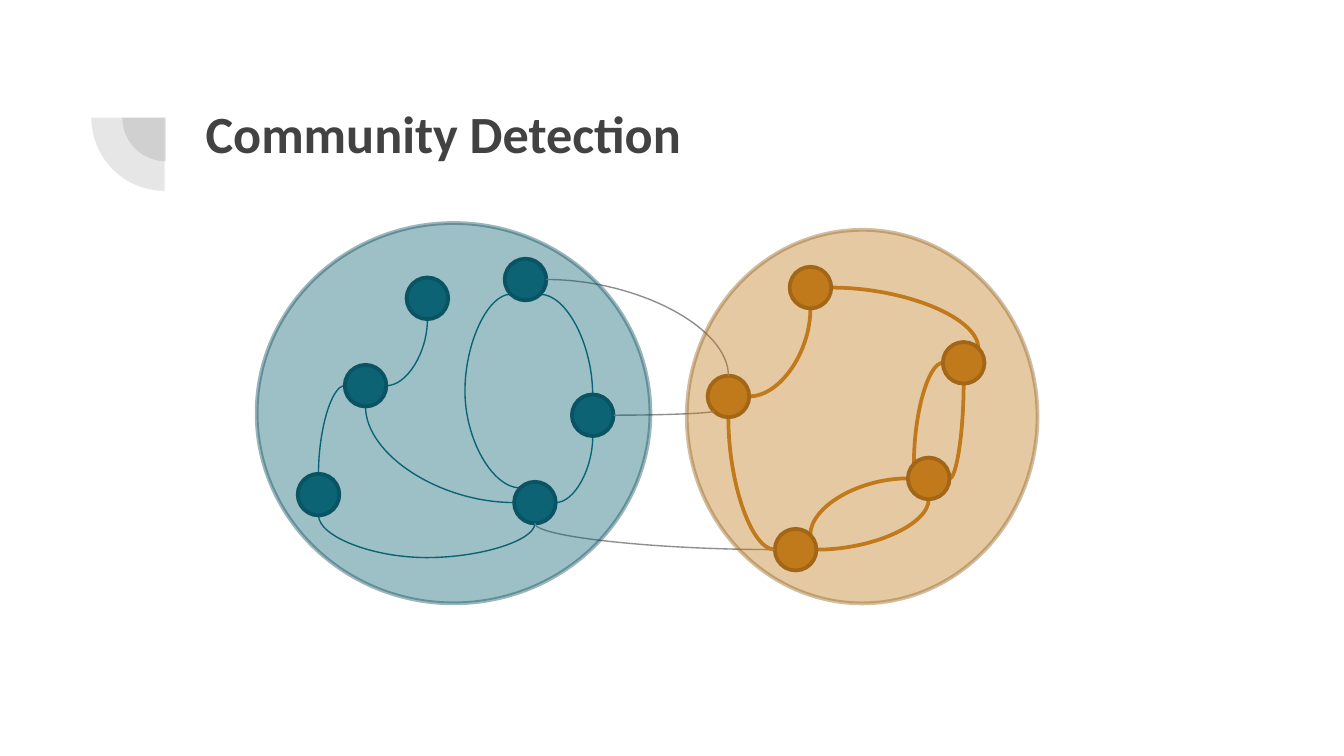
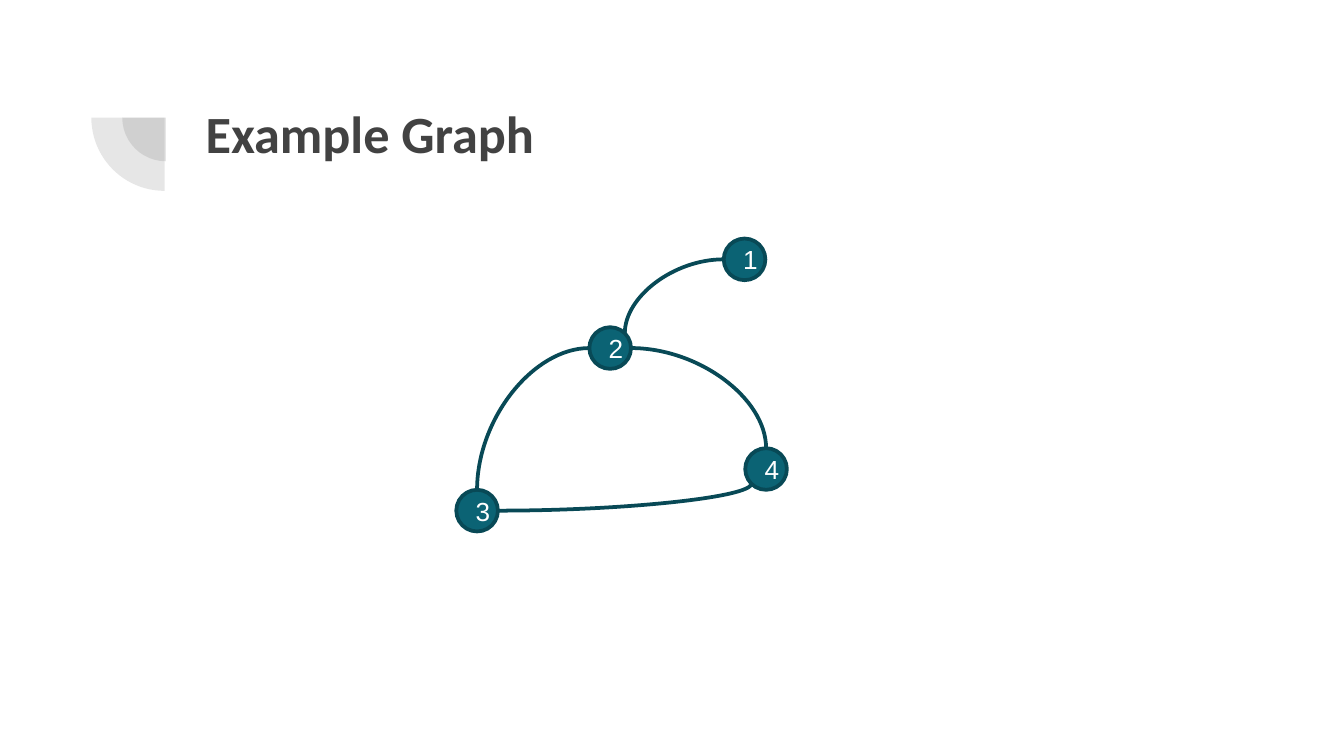
from math import cos, radians, sin

from lxml import etree
from pptx import Presentation
from pptx import util as u
from pptx.dml.color import RGBColor
from pptx.enum import shapes, text
from pptx.oxml.ns import qn

WIDTH = 10
HEIGHT = WIDTH * 9 / 16
INK, GREY = "424242", "8E8E8E"
TEAL, TEAL_LINE, TEAL_RIM = "0B6374", "086374", "084956"
ORANGE, ORANGE_RIM = "C0791B", "8E5A14"
NODE = 0.31
THIN, THICK = 0.75, 2
# Connection sites of an ellipse, counter-clockwise from the top.
SITES = ["top", "top left", "left", "bottom left",
         "bottom", "bottom right", "right", "top right"]

# Node centres.
TEAL_NODES = {"A": (3.18, 2.22), "B": (3.91, 2.08), "C": (2.72, 2.87),
              "D": (4.41, 3.09), "E": (3.98, 3.74), "F": (2.37, 3.68)}
ORANGE_NODES = {"G": (5.42, 2.95), "H": (5.92, 4.09), "I": (6.03, 2.14),
                "J": (6.91, 3.56), "K": (7.17, 2.7)}
EXAMPLE_NODES = {"2": (4.54, 2.59), "3": (3.55, 3.8),
                 "4": (5.7, 3.49), "1": (5.54, 1.93)}

# Each edge leaves its first node horizontally and meets its second vertically.
TEAL_EDGES = [("C", "right", "A", "bottom"), ("C", "left", "F", "top"),
              ("B", "bottom right", "D", "top"), ("E", "left", "C", "bottom"),
              ("E", "right", "D", "bottom")]
ORANGE_EDGES = [("H", "left", "G", "bottom"), ("G", "right", "I", "bottom"),
                ("J", "left", "H", "top right"), ("H", "right", "J", "bottom"),
                ("K", "left", "J", "top left"), ("J", "right", "K", "bottom"),
                ("I", "right", "K", "top right")]
BRIDGES = [("B", "right", "G", "top"), ("D", "right", "G", "bottom left"),
           ("H", "left", "E", "bottom")]
EXAMPLE_EDGES = [("2", "left", "3", "top"), ("1", "left", "2", "top right"),
                 ("2", "right", "4", "top"), ("3", "right", "4", "bottom left")]


def rgb(color):
    return RGBColor.from_string(color)


def add_shape(slide, kind, box, fill, rim=None, opacity=100):
    sp = slide.shapes.add_shape(kind, *map(u.Inches, box))
    sp.shadow.inherit = False
    sp.fill.solid()
    sp.fill.fore_color.rgb = rgb(fill)
    if rim:
        sp.line.color.rgb = rgb(rim)
        sp.line.width = u.Pt(THICK)
    else:
        sp.line.fill.background()
    if opacity < 100:
        for color in sp._element.spPr.iter(qn("a:srgbClr")):
            etree.SubElement(color, qn("a:alpha"), val=str(opacity * 1000))
    return sp


def add_title_slide(prs, title):
    slide = prs.slides.add_slide(prs.slide_layouts[5])
    for left, top, size in [(0.91, 0.55, 0.65), (0.68, 0.33, 1.09)]:
        pie = add_shape(slide, shapes.MSO_SHAPE.PIE, (left, top, size, size),
                        INK, opacity=13)
        pie.adjustments[0], pie.adjustments[1] = 108, 162
        pie.rotation = 270
    sp = slide.shapes.title
    sp.left, sp.top, sp.width, sp.height = map(u.Inches, (1.43, 0.65, 7.69, 1.09))
    tf = sp.text_frame
    tf.text = title
    tf.word_wrap = True
    tf.auto_size = text.MSO_AUTO_SIZE.NONE
    tf.vertical_anchor = text.MSO_ANCHOR.TOP
    tf.margin_left = tf.margin_right = tf.margin_top = tf.margin_bottom = u.Inches(0.1)
    p = tf.paragraphs[0]
    p.alignment = text.PP_ALIGN.LEFT
    p.font.name, p.font.size, p.font.bold = "Calibri", u.Pt(28), True
    p.font.color.rgb = rgb(INK)
    return slide


def add_nodes(slide, centres, fill, rim, labelled=False):
    nodes = {}
    for name, (x, y) in centres.items():
        box = (x - NODE / 2, y - NODE / 2, NODE, NODE)
        sp = nodes[name] = add_shape(slide, shapes.MSO_SHAPE.OVAL, box, fill, rim)
        if labelled:
            tf = sp.text_frame
            tf.text = name
            tf.vertical_anchor = text.MSO_ANCHOR.MIDDLE
            p = tf.paragraphs[0]
            p.alignment = text.PP_ALIGN.CENTER
            p.font.name, p.font.size = "Arial", u.Pt(14)
            p.font.color.rgb = rgb("FFFFFF")
    return nodes


def raise_nodes(slide, nodes):
    """Bring the nodes in front of their edges."""
    for sp in nodes.values():
        slide.shapes._spTree.append(sp._element)


def site_point(sp, site):
    angle = radians(90 + 45 * SITES.index(site))
    radius = sp.width / 2
    return (sp.left + radius * (1 + cos(angle)),
            sp.top + radius * (1 - sin(angle)))


def add_edge(slide, nodes, edge, color, width, bulge=None, upright=False):
    """Join two nodes by a quarter curve, or by a loop out to the position bulge."""
    first, first_site, second, second_site = edge
    a, b = nodes[first], nodes[second]
    (x1, y1), (x2, y2) = site_point(a, first_site), site_point(b, second_site)
    start, span = (y1, y2 - y1) if upright else (x1, x2 - x1)
    if upright:  # the box before its quarter turn
        cx, cy, w, h = (x1 + x2) / 2, (y1 + y2) / 2, y2 - y1, x2 - x1
        x1, y1, x2, y2 = cx - w / 2, cy + h / 2, cx + w / 2, cy - h / 2
    cxn = slide.shapes.add_connector(shapes.MSO_CONNECTOR.CURVE,
                                     *map(round, (x1, y1, x2, y2)))
    if upright:
        cxn.rotation = 90
    cxn.line.color.rgb = rgb(color)
    cxn.line.width = u.Pt(width)
    props = cxn._element.spPr
    etree.SubElement(props, qn("a:effectLst"))
    geometry = props.find(qn("a:prstGeom"))
    if bulge is None:
        geometry.set("prst", "curvedConnector2")
    else:
        share = round((u.Inches(bulge) - start) / span * 100000)
        guides = geometry.find(qn("a:avLst"))
        etree.SubElement(guides, qn("a:gd"), name="adj1", fmla=f"val {share}")
    ends = cxn._element.nvCxnSpPr.cNvCxnSpPr
    for tag, sp, site in [("a:stCxn", a, first_site), ("a:endCxn", b, second_site)]:
        etree.SubElement(ends, qn(tag), id=str(sp.shape_id),
                         idx=str(SITES.index(site)))


def add_edges(slide, nodes, edges, color, width):
    for edge in edges:
        add_edge(slide, nodes, edge, color, width)


def community_slide(prs):
    slide = add_title_slide(prs, "Community Detection")
    teal = add_nodes(slide, TEAL_NODES, TEAL, TEAL_RIM)
    add_edges(slide, teal, TEAL_EDGES, TEAL_LINE, THIN)
    add_edge(slide, teal, ("B", "bottom left", "E", "top left"),
             TEAL_LINE, THIN, bulge=3.46)
    add_edge(slide, teal, ("F", "bottom", "E", "bottom"),
             TEAL_LINE, THIN, bulge=4.15, upright=True)
    raise_nodes(slide, teal)

    orange = add_nodes(slide, ORANGE_NODES, ORANGE, ORANGE_RIM)
    add_edges(slide, orange, ORANGE_EDGES, ORANGE, THICK)
    raise_nodes(slide, orange)

    add_edges(slide, teal | orange, BRIDGES, GREY, THIN)
    for box, fill, rim in [((1.91, 1.66, 2.93, 2.83), TEAL, TEAL_RIM),
                           ((5.11, 1.71, 2.61, 2.78), ORANGE, ORANGE_RIM)]:
        add_shape(slide, shapes.MSO_SHAPE.OVAL, box, fill, rim, opacity=40)


def example_slide(prs):
    slide = add_title_slide(prs, "Example Graph")
    nodes = add_nodes(slide, EXAMPLE_NODES, TEAL, TEAL_RIM, labelled=True)
    add_edges(slide, nodes, EXAMPLE_EDGES, TEAL_RIM, THICK)
    raise_nodes(slide, nodes)


def main():
    prs = Presentation()
    prs.slide_width, prs.slide_height = u.Inches(WIDTH), u.Inches(HEIGHT)
    community_slide(prs)
    example_slide(prs)
    prs.save("out.pptx")


if __name__ == "__main__":
    main()
